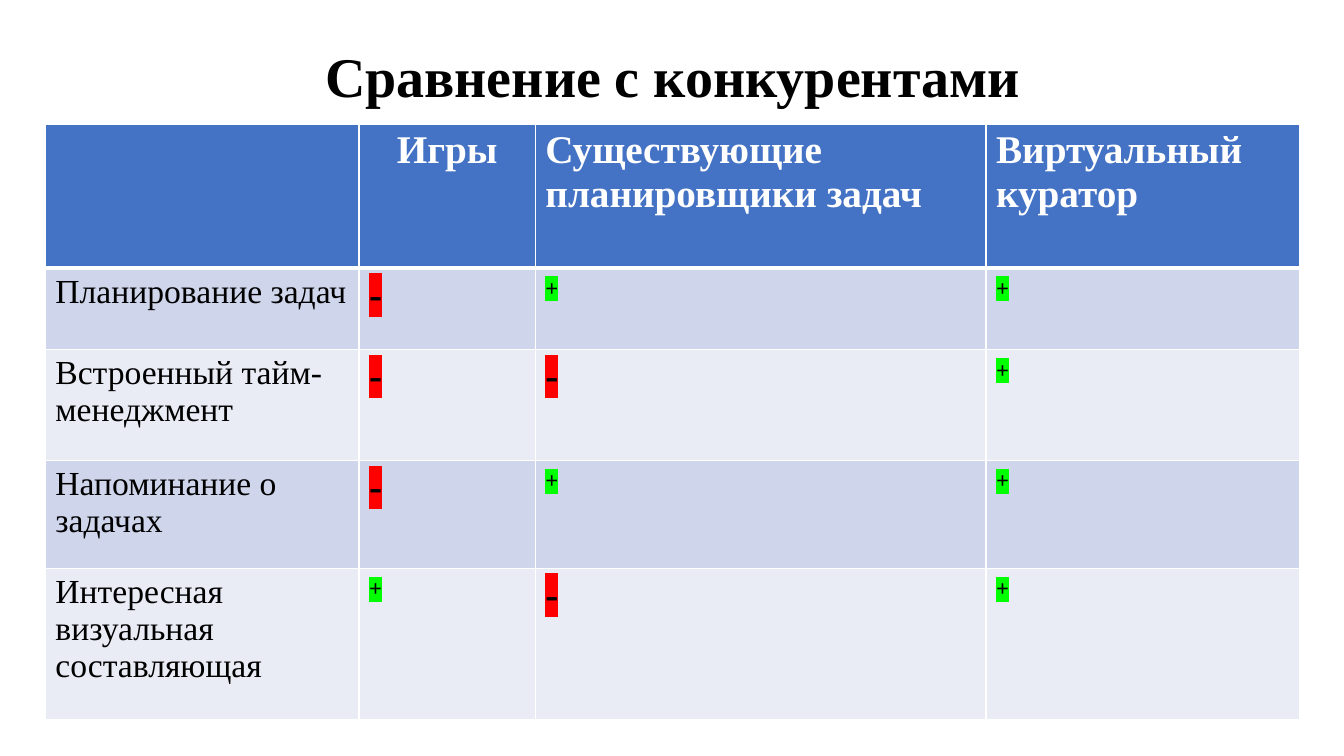
import pptx
import pptx.dml.color
import pptx.enum.text
import pptx.oxml
import pptx.oxml.ns
import pptx.util
from pptx.util import Inches

COLORS = {
    "header": "4472C4",
    "odd_row": "CFD5EA",
    "even_row": "E9EBF5",
    "white": "FFFFFF",
    "black": "000000",
    "plus": "00FF00",
    "minus": "FF0000",
}
FONT = "Times New Roman"
CENTER = pptx.enum.text.PP_ALIGN.CENTER
LEFT = pptx.enum.text.PP_ALIGN.LEFT

COLUMN_WIDTHS = [3.11, 1.75, 4.47, 3.11]
ROW_HEIGHTS = [1.43, 0.81, 1.1, 1.07, 1.5]
HEADINGS = ["", "Игры", "Существующие планировщики задач", "Виртуальный куратор"]
FEATURES = [
    ("Планирование задач", "-++"),
    ("Встроенный тайм-менеджмент", "--+"),
    ("Напоминание о задачах", "-++"),
    ("Интересная визуальная составляющая", "+-+"),
]
TITLE_STYLE = {"size": pptx.util.Pt(40), "bold": True, "name": FONT}
STRONG_STYLE = {"size": pptx.util.Pt(28), "bold": True, "name": FONT}
FEATURE_STYLE = {"size": pptx.util.Pt(24), "bold": False, "name": FONT}


def rgb(color):
    return pptx.dml.color.RGBColor.from_string(COLORS[color])


def xml_element(tag, content, attributes=""):
    namespace = pptx.oxml.ns.nsdecls("a")
    return pptx.oxml.parse_xml(f"<a:{tag} {namespace} {attributes}>{content}</a:{tag}>")


def write_text(frame, text, style, color, align=LEFT, highlight=None):
    paragraph = frame.paragraphs[0]
    paragraph.alignment = align
    run = paragraph.add_run()
    run.text = text
    run.font.color.rgb = rgb(color)
    if highlight:
        marker = xml_element("highlight", f'<a:srgbClr val="{COLORS[highlight]}"/>')
        run.font._element.append(marker)
    for attribute, value in style.items():
        setattr(run.font, attribute, value)
    return run


def style_cell(cell, fill, top=1, bottom=1):
    cell.fill.solid()
    cell.fill.fore_color.rgb = rgb(fill)
    properties = cell._tc.get_or_add_tcPr()
    line_fill = f'<a:solidFill><a:srgbClr val="{COLORS["white"]}"/></a:solidFill>'
    borders = {"lnL": 1, "lnR": 1, "lnT": top, "lnB": bottom}
    for position, (side, width) in enumerate(borders.items()):
        border = xml_element(side, line_fill, f'w="{pptx.util.Pt(width)}"')
        properties.insert(position, border)


def write_mark(cell, mark):
    highlight = "plus" if mark == "+" else "minus"
    run = write_text(cell.text_frame, mark, STRONG_STYLE, "black", highlight=highlight)
    if mark == "+":
        run.font._element.set("baseline", "30000")


def add_title(slide):
    title = slide.shapes.add_textbox(Inches(0.45), Inches(0.36), Inches(12.44), Inches(0.77))
    title.text_frame.word_wrap = True
    write_text(title.text_frame, "Сравнение с конкурентами", TITLE_STYLE, "black", CENTER)


def add_comparison(slide):
    comparison = slide.shapes.add_table(
        len(ROW_HEIGHTS), len(COLUMN_WIDTHS),
        Inches(0.45), Inches(1.23), Inches(sum(COLUMN_WIDTHS)), Inches(sum(ROW_HEIGHTS)),
    ).table
    for column, width in zip(comparison.columns, COLUMN_WIDTHS):
        column.width = Inches(width)
    for row, height in zip(comparison.rows, ROW_HEIGHTS):
        row.height = Inches(height)

    for column, heading in enumerate(HEADINGS):
        cell = comparison.cell(0, column)
        style_cell(cell, "header", bottom=3)
        if heading:
            align = CENTER if column == 1 else LEFT
            write_text(cell.text_frame, heading, STRONG_STYLE, "white", align)

    for row, (feature, marks) in enumerate(FEATURES, start=1):
        for column in range(len(COLUMN_WIDTHS)):
            fill = "odd_row" if row % 2 else "even_row"
            style_cell(comparison.cell(row, column), fill, top=3 if row == 1 else 1)
        write_text(comparison.cell(row, 0).text_frame, feature, FEATURE_STYLE, "black")
        for column, mark in enumerate(marks, start=1):
            write_mark(comparison.cell(row, column), mark)


def main():
    presentation = pptx.Presentation()
    presentation.slide_width = Inches(13.33)
    presentation.slide_height = Inches(7.5)
    slide = presentation.slides.add_slide(presentation.slide_layouts[6])
    add_comparison(slide)
    add_title(slide)
    presentation.save("out.pptx")


if __name__ == "__main__":
    main()
